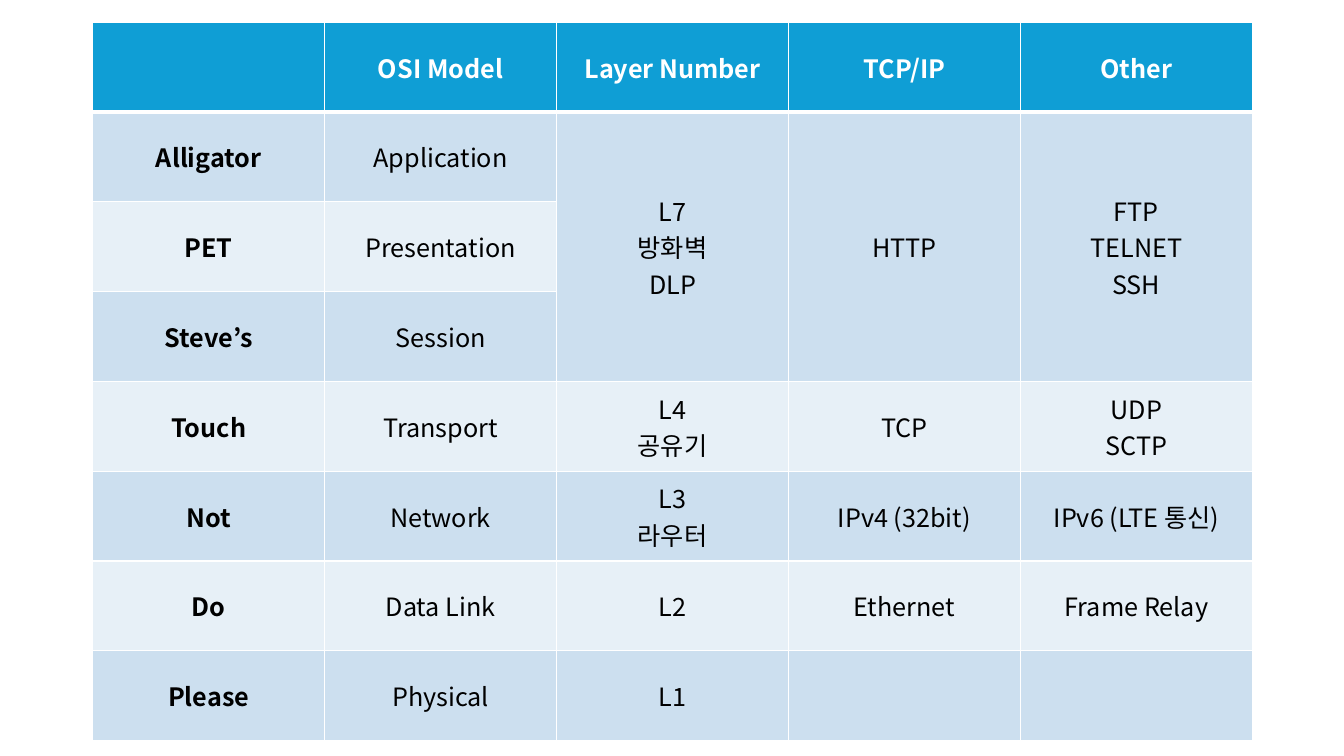
import dataclasses

import lxml.etree
import pptx
import pptx.dml.color
import pptx.enum.text
import pptx.oxml.ns
import pptx.util


@dataclasses.dataclass(frozen=True)
class Theme:
    """Colours, type and border widths of the slide."""
    header: str = "0F9ED5"
    bands: tuple = ("CCDFEF", "E7F0F7")
    light: str = "FFFFFF"
    dark: str = "000000"
    font: str = "Noto Sans CJK KR"
    size: int = 18
    thin: int = 1
    thick: int = 3


THEME = Theme()
ROWS = [
    ["", "OSI Model", "Layer Number", "TCP/IP", "Other"],
    ["Alligator", "Application", "L7\n방화벽\nDLP", "HTTP", "FTP\nTELNET\nSSH"],
    ["PET", "Presentation", "", "", ""],
    ["Steve’s", "Session", "", "", ""],
    ["Touch", "Transport", "L4\n공유기", "TCP", "UDP\nSCTP"],
    ["Not", "Network", "L3\n라우터", "IPv4 (32bit)", "IPv6 (LTE 통신)"],
    ["Do", "Data Link", "L2", "Ethernet", "Frame Relay"],
    ["Please", "Physical", "L1", "", ""],
]
MERGED_ROWS = (1, 3)
MERGED_COLUMNS = (2, 3, 4)


def rgb(value):
    """Return a colour object for a hex string."""
    return pptx.dml.color.RGBColor.from_string(value)


def set_borders(cell, widths):
    """Draw the cell borders, given a width in points for each side."""
    properties = cell._tc.get_or_add_tcPr()
    for position, side in enumerate("LRTB"):
        line = lxml.etree.Element(pptx.oxml.ns.qn(f"a:ln{side}"), w=str(pptx.util.Pt(widths[side])))
        fill = lxml.etree.SubElement(line, pptx.oxml.ns.qn("a:solidFill"))
        lxml.etree.SubElement(fill, pptx.oxml.ns.qn("a:srgbClr"), val=THEME.light)
        properties.insert(position, line)


def write_text(cell, text, color, bold):
    """Write each line of text as a centred paragraph."""
    frame = cell.text_frame
    cell.vertical_anchor = pptx.enum.text.MSO_ANCHOR.MIDDLE
    for index, words in enumerate(text.split("\n")):
        paragraph = frame.add_paragraph() if index else frame.paragraphs[0]
        paragraph.alignment = pptx.enum.text.PP_ALIGN.CENTER
        if not words:
            continue
        run = paragraph.add_run()
        run.text = words
        run.font.size = pptx.util.Pt(THEME.size)
        run.font.bold = bold
        run.font.color.rgb = rgb(color)
        run.font.name = THEME.font
        lxml.etree.SubElement(run.font._element, pptx.oxml.ns.qn("a:ea"), typeface=THEME.font)


def add_layer_table(slide, left, top, width, height):
    """Fill the given box with the table of network layers."""
    table = slide.shapes.add_table(len(ROWS), len(ROWS[0]), left, top, width, height).table
    for row in table.rows:
        row.height = height // len(ROWS)
    for row_index, texts in enumerate(ROWS):
        header = row_index == 0
        fill = THEME.header if header else THEME.bands[(row_index - 1) % 2]
        widths = dict.fromkeys("LRTB", THEME.thin)
        if header:
            widths["B"] = THEME.thick
        if row_index == 1:
            widths["T"] = THEME.thick
        for column_index, text in enumerate(texts):
            cell = table.cell(row_index, column_index)
            cell.fill.solid()
            cell.fill.fore_color.rgb = rgb(fill)
            set_borders(cell, widths)
            color = THEME.light if header else THEME.dark
            write_text(cell, text, color, header or column_index == 0)
    first, last = MERGED_ROWS
    for column_index in MERGED_COLUMNS:
        table.cell(first, column_index).merge(table.cell(last, column_index))


def main():
    """Build and save the presentation."""
    presentation = pptx.Presentation()
    presentation.slide_width = pptx.util.Inches(13.33)
    presentation.slide_height = pptx.util.Inches(7.5)
    slide = presentation.slides.add_slide(presentation.slide_layouts[6])
    box = [pptx.util.Inches(length) for length in (0.92, 0.22, 11.5, 7.13)]
    add_layer_table(slide, *box)
    presentation.save("out.pptx")


if __name__ == "__main__":
    main()
